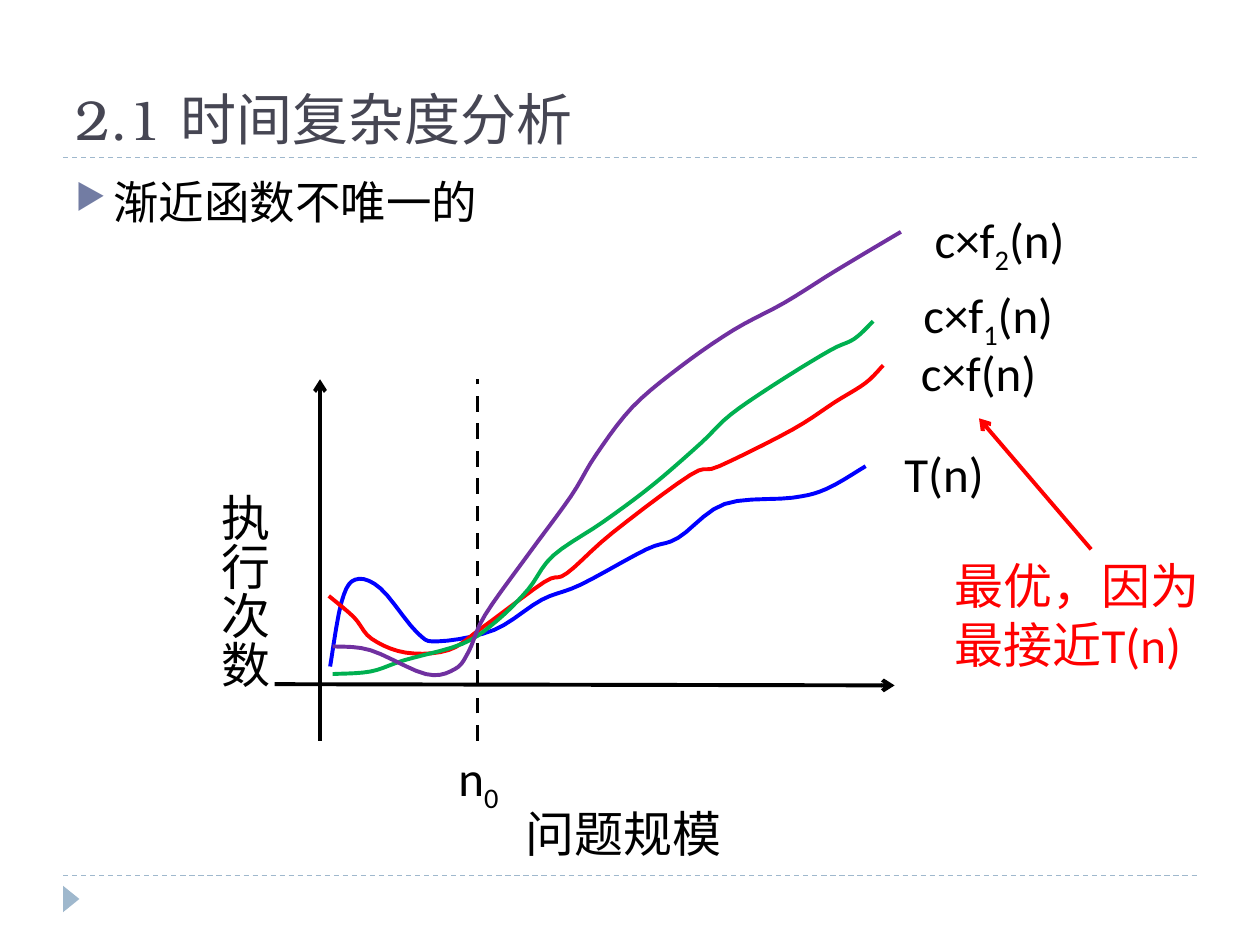
from lxml import etree
from pptx import Presentation
from pptx.dml.color import RGBColor
from pptx.enum.dml import MSO_LINE
from pptx.enum.shapes import MSO_CONNECTOR, MSO_SHAPE
from pptx.enum.text import MSO_ANCHOR, MSO_AUTO_SIZE
from pptx.oxml.ns import qn
from pptx.util import Inches, Pt

COLORS = {
    "rule": "9FB8CD", "title": "464653", "bullet": "727CA3", "black": "000000",
    "blue": "0000FF", "red": "FF0000", "green": "00B050", "purple": "7030A0",
}

CURVES = {
    "blue": [
        (2.62, 5.29), (2.71, 4.78), (2.82, 4.6), (3.02, 4.67), (3.31, 5.02), (3.48, 5.09),
        (3.92, 5), (4.3, 4.76), (4.61, 4.64), (5.13, 4.36), (5.38, 4.27), (5.75, 4),
        (6.29, 3.95), (6.56, 3.88), (6.87, 3.7)],
    "red": [
        (2.61, 4.73), (2.81, 4.9), (2.95, 5.07), (3.22, 5.18), (3.56, 5.16), (3.83, 4.98),
        (4.32, 4.62), (4.5, 4.55), (4.86, 4.23), (5.48, 3.77), (5.71, 3.7), (6.29, 3.41),
        (6.63, 3.19), (6.87, 3.04), (7.01, 2.9)],
    "green": [
        (2.64, 5.35), (2.94, 5.33), (3.21, 5.24), (3.67, 5.11), (3.94, 4.93), (4.19, 4.68),
        (4.39, 4.41), (4.79, 4.14), (5.18, 3.85), (5.56, 3.52), (5.8, 3.29), (6.18, 3.03),
        (6.59, 2.78), (6.78, 2.69), (6.93, 2.55)],
    "purple": [
        (2.64, 5.13), (2.94, 5.16), (3.38, 5.35), (3.61, 5.31), (3.72, 5.17), (3.85, 4.88),
        (4.2, 4.39), (4.53, 3.94), (4.73, 3.61), (5.02, 3.23), (5.4, 2.91), (5.82, 2.62),
        (6.23, 2.4), (6.63, 2.15), (7.15, 1.84)],
}

# Each label: box and runs; every second run is a subscript.
LABELS = [
    ((3.54, 5.88, 0.52, 0.63), ["n", "0"]),
    ((4.07, 6.33, 1.75, 0.57), ["问题规模"]),
    ((7.08, 3.47, 0.83, 0.57), ["T(n)"]),
    ((7.21, 2.67, 1.11, 0.57), ["c×f(n)"]),
    ((7.23, 2.21, 1.23, 0.63), ["c×f", "1", "(n)"]),
    ((7.32, 1.61, 1.23, 0.63), ["c×f", "2", "(n)"]),
]


def rgb(name):
    return RGBColor.from_string(COLORS[name])


def set_all(target, **values):
    for name, value in values.items():
        setattr(target, name, value)


def style_line(line, color, width, dash=None):
    line.color.rgb = rgb(color)
    set_all(line, width=Pt(width), dash_style=dash)


def add_line(shapes, start, end, color="black", width=2.25, dash=None, arrow=False):
    connector = shapes.add_connector(
        MSO_CONNECTOR.STRAIGHT, *[Inches(value) for value in (*start, *end)])
    style_line(connector.line, color, width, dash)
    properties = connector._element.spPr
    if arrow:
        etree.SubElement(properties.find(qn("a:ln")), qn("a:tailEnd"), type="arrow")
    etree.SubElement(properties, qn("a:effectLst"))


def smooth(points, steps=5):
    """Return points along a Catmull-Rom spline through the given points."""
    padded = [points[0], *points, points[-1]]
    result = [points[0]]
    for before, start, end, after in zip(padded, padded[1:], padded[2:], padded[3:]):
        for step in range(1, steps + 1):
            t = step / steps
            result.append(tuple(
                b + ((c - a) * t + (2 * a - 5 * b + 4 * c - d) * t ** 2
                     + (3 * b - a - 3 * c + d) * t ** 3) / 2
                for a, b, c, d in zip(before, start, end, after)))
    return result


def add_curve(shapes, color, points):
    start, *rest = [(Inches(x), Inches(y)) for x, y in smooth(points)]
    builder = shapes.build_freeform(*start)
    builder.add_line_segments(rest, close=False)
    curve = builder.convert_to_shape()
    curve.shadow.inherit = False
    curve.fill.background()
    style_line(curve.line, color, 2.25)


def add_text(shapes, box, runs, size=28, color="black", font="Calibri", **frame_values):
    """Add a text box whose every second run is a subscript."""
    frame = shapes.add_textbox(*[Inches(value) for value in box]).text_frame
    set_all(frame, **{"word_wrap": False, "auto_size": MSO_AUTO_SIZE.NONE, **frame_values})
    for index, text in enumerate(runs):
        run = frame.paragraphs[0].add_run()
        run.text = text
        set_all(run.font, name=font, size=Pt(size))
        run.font.color.rgb = rgb(color)
        if index % 2:
            run.font._element.set("baseline", "-25000")
    return frame


def add_bullet(paragraph):
    paragraph.space_before = Pt(6)
    properties = paragraph._p.get_or_add_pPr()
    for name, value in {"marL": Inches(0.3), "indent": Inches(-0.3)}.items():
        properties.set(name, str(value))
    color = etree.SubElement(properties, qn("a:buClr"))
    etree.SubElement(color, qn("a:srgbClr"), val=COLORS["bullet"])
    etree.SubElement(properties, qn("a:buSzPct"), val="76000")
    etree.SubElement(properties, qn("a:buChar"), char="▶")


def add_frame(shapes):
    """Add the dashed rules and the footer triangle."""
    for y in (6.95, 1.25):
        add_line(shapes, (0.5, y), (9.5, y), "rule", 0.75, MSO_LINE.DASH)
    triangle = shapes.add_shape(MSO_SHAPE.ISOSCELES_TRIANGLE, Inches(0.46), Inches(7.07),
                                Inches(0.21), Inches(0.13))
    triangle.rotation = 90
    triangle.shadow.inherit = False
    triangle.fill.solid()
    triangle.fill.fore_color.rgb = rgb("rule")
    triangle.line.fill.background()


def add_plot(shapes):
    add_line(shapes, (2.18, 5.43), (7.1, 5.44), arrow=True)
    add_line(shapes, (2.54, 5.88), (2.54, 3.01), arrow=True)
    add_line(shapes, (3.79, 5.88), (3.79, 3.01), dash=MSO_LINE.DASH)
    for color, points in CURVES.items():
        add_curve(shapes, color, points)
    for box, runs in LABELS:
        add_text(shapes, box, runs)
    margins = {"margin_left": Inches(0.05), "margin_right": Inches(0.05),
               "margin_top": Inches(0.1), "margin_bottom": Inches(0.1)}
    axis_title = add_text(shapes, (1.56, 3.82, 0.66, 1.66), ["执行次数"], **margins)
    axis_title._txBody.bodyPr.set("vert", "eaVert")


def main():
    presentation = Presentation()
    set_all(presentation, slide_width=Inches(10), slide_height=Inches(7.5))
    shapes = presentation.slides.add_slide(presentation.slide_layouts[6]).shapes
    add_frame(shapes)
    add_text(shapes, (0.5, 0.17, 9, 1.08), ["2.1 时间复杂度分析"], 32, "title",
             "TeX Gyre Bonum", word_wrap=True, vertical_anchor=MSO_ANCHOR.BOTTOM)
    body = add_text(shapes, (0.5, 1.33, 9, 5.4), ["渐近函数不唯一的"], 26, word_wrap=True)
    add_bullet(body.paragraphs[0])
    add_plot(shapes.add_group_shape().shapes)
    add_text(shapes, (7.48, 4.36, 2.35, 1.04), ["最优，因为最接近T(n)"], color="red",
             word_wrap=True)
    add_line(shapes, (8.66, 4.36), (7.77, 3.32), "red", arrow=True)
    presentation.save("out.pptx")


if __name__ == "__main__":
    main()
